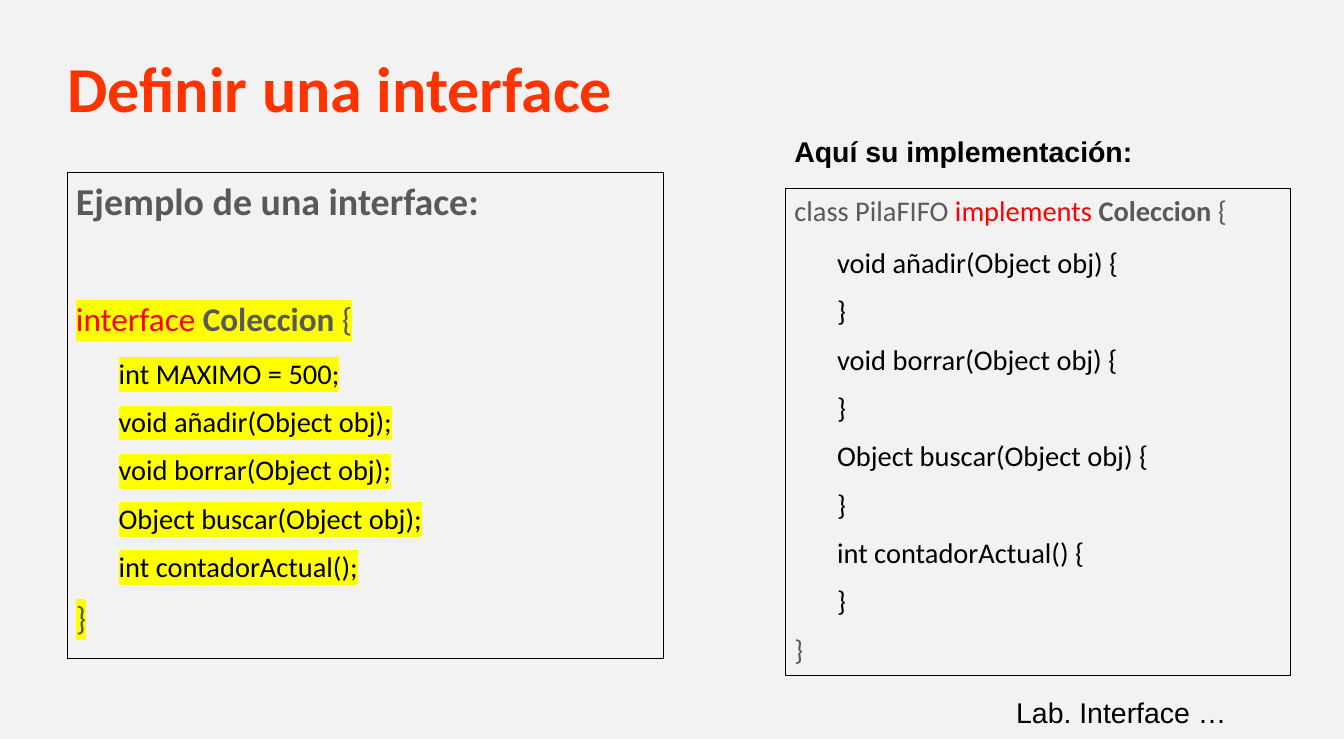
"""Build the slide that defines a Java interface next to its implementation."""
import lxml.etree
import pptx
import pptx.dml.color
import pptx.enum.text
import pptx.oxml
import pptx.oxml.ns
import pptx.util

Inches, Pt = pptx.util.Inches, pptx.util.Pt
RGBColor = pptx.dml.color.RGBColor
BACKGROUND = RGBColor(0xF2, 0xF2, 0xF2)
ORANGE = RGBColor(0xFF, 0x33, 0x00)
RED = RGBColor(0xFF, 0x00, 0x00)
GREY = RGBColor(0x59, 0x59, 0x59)
BLACK = RGBColor(0x00, 0x00, 0x00)
YELLOW = RGBColor(0xFF, 0xFF, 0x00)

LEFT, TITLE_WIDTH, BOX_HEIGHT = 0.79, 14.16, 5.7
RIGHT = 9.21


def place(shape, left, top, width, height):
    """Position a shape, in inches, and let its text wrap at a fixed size."""
    shape.left, shape.top = Inches(left), Inches(top)
    shape.width, shape.height = Inches(width), Inches(height)
    shape.text_frame.word_wrap = True
    shape.text_frame.auto_size = pptx.enum.text.MSO_AUTO_SIZE.NONE


def write_line(paragraph, level, size, after, runs, highlight=None):
    """Fill one code line with (text, colour, bold) runs."""
    paragraph.level = level
    paragraph.line_spacing = 1.02
    paragraph.space_before, paragraph.space_after = Pt(0), Pt(after)
    paragraph.font.name, paragraph.font.size = "Calibri", Pt(size)
    properties = paragraph._p.get_or_add_pPr()
    margin, indent = ((0.38, -0.38), (0.81, -0.31))[level]
    properties.set("marL", str(Inches(margin)))
    properties.set("indent", str(Inches(indent)))
    bullet = lxml.etree.Element(pptx.oxml.ns.qn("a:buNone"))
    properties.find(pptx.oxml.ns.qn("a:defRPr")).addprevious(bullet)
    for text, colour, bold in runs:
        run = paragraph.add_run()
        run.text = text
        run.font.color.rgb, run.font.bold = colour, bold
        if highlight:
            mark = pptx.oxml.parse_xml(
                f'<a:highlight {pptx.oxml.ns.nsdecls("a")}>'
                f'<a:srgbClr val="{highlight}"/></a:highlight>')
            run.font.fill._xPr.find(pptx.oxml.ns.qn("a:solidFill")).addnext(mark)


presentation = pptx.Presentation()
presentation.slide_width, presentation.slide_height = Inches(15.75), Inches(8.66)
slide = presentation.slides.add_slide(presentation.slide_layouts[3])
slide.background.fill.solid()
slide.background.fill.fore_color.rgb = BACKGROUND
title, interface_box, class_box = slide.placeholders

place(title, LEFT, 0.35, TITLE_WIDTH, 1.43)
frame = title.text_frame
frame.text = "Definir una interface"
frame.vertical_anchor = pptx.enum.text.MSO_ANCHOR.MIDDLE
frame.margin_left = frame.margin_right = frame.margin_top = frame.margin_bottom = 0
paragraph = frame.paragraphs[0]
paragraph.alignment = pptx.enum.text.PP_ALIGN.LEFT
paragraph.line_spacing = 0.93
paragraph.font.name, paragraph.font.size = "Calibri", Pt(54)
paragraph.font.bold, paragraph.font.color.rgb = True, ORANGE

place(interface_box, LEFT, 2.02, 6.99, BOX_HEIGHT)
place(class_box, RIGHT, 2.21, 5.91, BOX_HEIGHT)
for box in (interface_box, class_box):
    box.line.color.rgb, box.line.width = BLACK, Pt(0.75)

frame = interface_box.text_frame
write_line(frame.paragraphs[0], 0, 32, 63, [("Ejemplo de una interface:", GREY, True)])
frame.paragraphs[0].alignment = pptx.enum.text.PP_ALIGN.JUSTIFY
write_line(frame.add_paragraph(), 0, 28, 14.2,
           [("interface", RED, False), (" Coleccion", GREY, True), (" {", GREY, False)],
           YELLOW)
for member in ("int MAXIMO = 500;", "void añadir(Object obj);", "void borrar(Object obj);",
               "Object buscar(Object obj);", "int contadorActual();"):
    write_line(frame.add_paragraph(), 1, 24, 11.4, [(member, BLACK, False)], YELLOW)
write_line(frame.add_paragraph(), 0, 28, 14.2, [("}", GREY, False)], YELLOW)

frame = class_box.text_frame
write_line(frame.paragraphs[0], 0, 24, 14.2,
           [("class PilaFIFO ", GREY, False), ("implements ", RED, False),
            ("Coleccion", GREY, True), (" {", GREY, False)])
for method in ("void añadir(Object obj)", "void borrar(Object obj)",
               "Object buscar(Object obj)", "int contadorActual()"):
    for text in (method + " {", "}"):
        write_line(frame.add_paragraph(), 1, 24, 11.4, [(text, BLACK, False)])
write_line(frame.add_paragraph(), 0, 24, 14.2, [("}", GREY, False)])

for text, left, top, width, bold in (
        ("Aquí su implementación:", RIGHT, 1.52, 5.75, True),
        ("Lab. Interface …", 11.81, 8.09, 3.3, False)):
    label = slide.shapes.add_textbox(0, 0, 0, 0)
    place(label, left, top, width, 0.5)
    label.text_frame.text = text
    font = label.text_frame.paragraphs[0].font
    font.name, font.size, font.bold = "Arial", Pt(24), bold
    font.color.rgb = BLACK

presentation.save("out.pptx")
